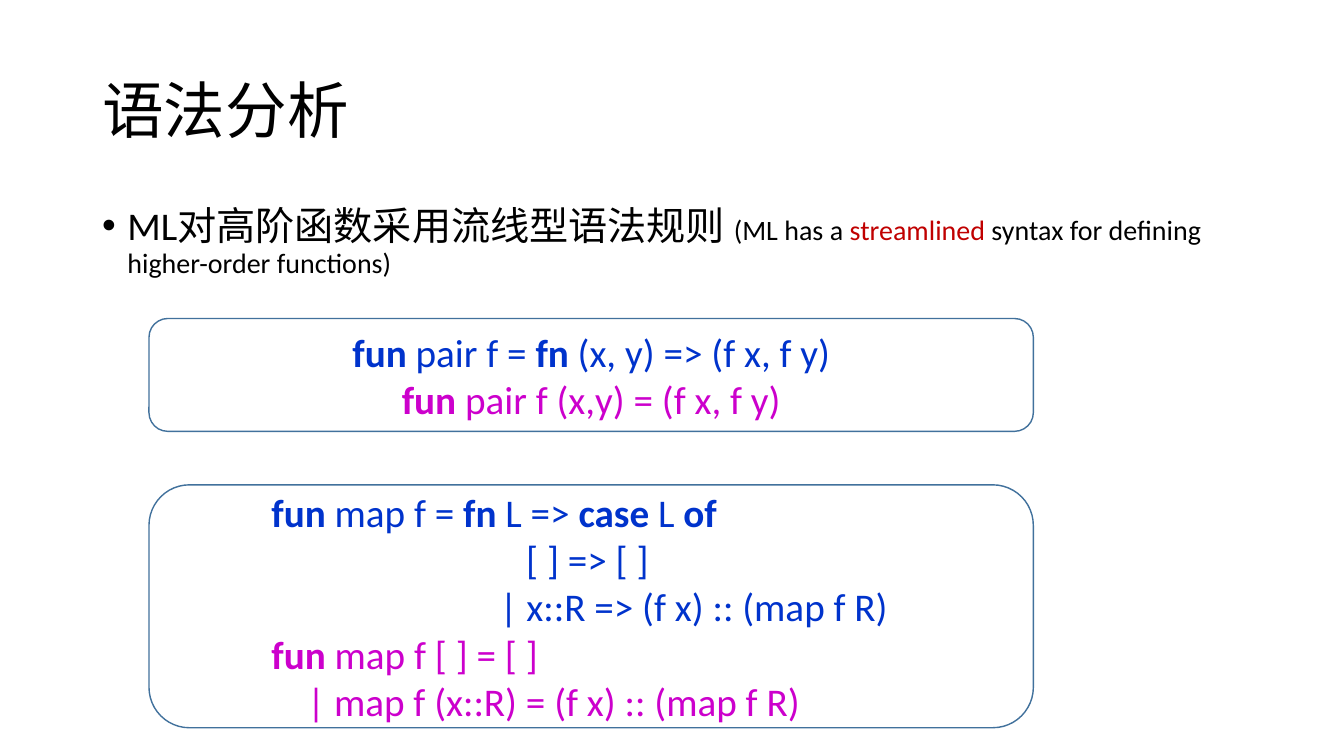
from dataclasses import dataclass

from lxml import etree
from pptx import Presentation
from pptx.dml.color import RGBColor
from pptx.enum import shapes, text
from pptx.oxml import ns
from pptx.util import Pt


@dataclass(frozen=True)
class Theme:
    font: str = "Calibri"
    black: str = "000000"
    accent: str = "C00000"
    blue: str = "0033CC"
    magenta: str = "CC00CC"
    outline: str = "41719C"
    title_size: int = 44
    body_size: int = 28
    note_size: int = 20


THEME = Theme()
BOX_LEFT, BOX_WIDTH = 106.5, 632

# Each code line: colour, left indent in points, text with *keywords* marked.
PAIR_CODE = [
    (THEME.blue, 0, "*fun* pair f = *fn* (x, y) => (f x, f y)"),
    (THEME.magenta, 0, "*fun* pair f (x,y) = (f x, f y)"),
]
MAP_CODE = [
    (THEME.blue, 72, "*fun* map f = *fn* L => *case* L *of*"),
    (THEME.blue, 254, "[ ] => [ ]"),
    (THEME.blue, 235, "| x::R => (f x) :: (map f R)"),
    (THEME.magenta, 72, "*fun* map f [ ] = [ ]"),
    (THEME.magenta, 97.5, "| map f (x::R) = (f x) :: (map f R)"),
]


def add_text(paragraph, content, size=THEME.body_size, color=THEME.black, bold=False):
    run = paragraph.add_run()
    run.text = content
    run.font.name = THEME.font
    run.font.size = Pt(size)
    run.font.bold = bold
    run.font.color.rgb = RGBColor.from_string(color)


def set_indent(paragraph, left, first=0):
    properties = paragraph._p.get_or_add_pPr()
    properties.set("marL", str(Pt(left)))
    properties.set("indent", str(Pt(first)))
    return properties


def place(shape, left, top, width, height):
    shape.left, shape.top = Pt(left), Pt(top)
    shape.width, shape.height = Pt(width), Pt(height)


def set_title(slide, content):
    title = slide.shapes.title
    place(title, 66, 28.8, 828, 104.4)
    frame = title.text_frame
    frame.auto_size = text.MSO_AUTO_SIZE.NONE
    frame.vertical_anchor = text.MSO_ANCHOR.MIDDLE
    paragraph = frame.paragraphs[0]
    paragraph.alignment = text.PP_ALIGN.LEFT
    paragraph.line_spacing = 0.9
    add_text(paragraph, content, size=THEME.title_size)


def add_bullet(slide):
    box = slide.shapes.add_textbox(Pt(66), Pt(144), Pt(828), Pt(69))
    box.text_frame.word_wrap = True
    paragraph = box.text_frame.paragraphs[0]
    paragraph.line_spacing = 0.9
    paragraph.space_before = Pt(10)
    properties = set_indent(paragraph, 18, -18)
    etree.SubElement(properties, ns.qn("a:buFont"), typeface="Arial")
    etree.SubElement(properties, ns.qn("a:buChar"), char="•")
    add_text(paragraph, "ML对高阶函数采用流线型语法规则 ")
    add_text(paragraph, "(ML has a ", size=THEME.note_size)
    add_text(paragraph, "streamlined", size=THEME.note_size, color=THEME.accent)
    add_text(paragraph, " syntax for defining higher-order functions)", size=THEME.note_size)


def add_code_box(slide, top, height, code, alignment):
    box = slide.shapes.add_shape(
        shapes.MSO_SHAPE.ROUNDED_RECTANGLE,
        Pt(BOX_LEFT), Pt(top), Pt(BOX_WIDTH), Pt(height))
    box.shadow.inherit = False
    box.fill.background()
    box.line.color.rgb = RGBColor.from_string(THEME.outline)
    box.line.width = Pt(1)
    frame = box.text_frame
    frame.word_wrap = True
    frame.vertical_anchor = text.MSO_ANCHOR.MIDDLE
    for index, (color, indent, line) in enumerate(code):
        paragraph = frame.add_paragraph() if index else frame.paragraphs[0]
        paragraph.alignment = alignment
        set_indent(paragraph, indent)
        for position, part in enumerate(line.split("*")):
            if part:
                add_text(paragraph, part, color=color, bold=position % 2 == 1)


def main():
    presentation = Presentation()
    presentation.slide_width, presentation.slide_height = Pt(960.5), Pt(540)
    slide = presentation.slides.add_slide(presentation.slide_layouts.get_by_name("Title Only"))
    set_title(slide, "语法分析")
    add_bullet(slide)
    add_code_box(slide, 227.5, 80.6, PAIR_CODE, text.PP_ALIGN.CENTER)
    add_code_box(slide, 346.3, 173.5, MAP_CODE, text.PP_ALIGN.LEFT)
    presentation.save("out.pptx")


if __name__ == "__main__":
    main()
